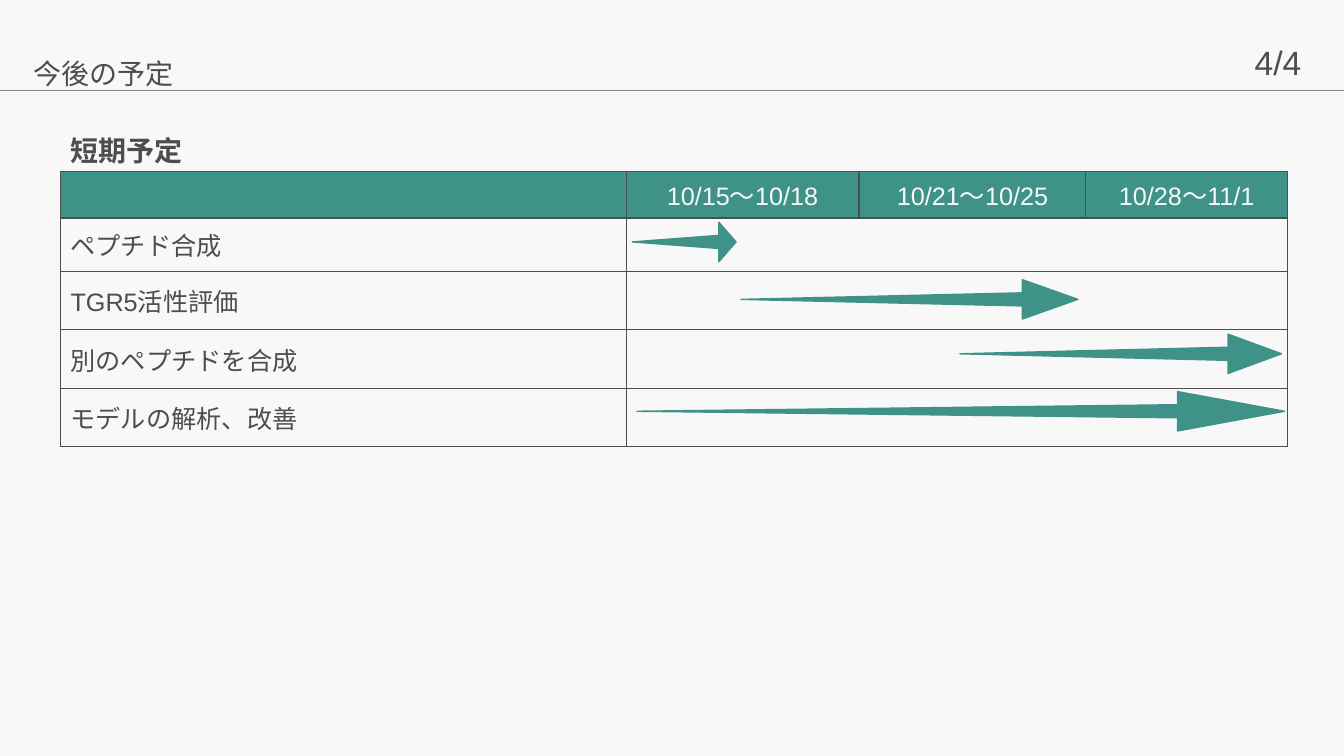
from lxml import etree
from pptx import Presentation
from pptx.dml.color import RGBColor
from pptx.enum import shapes, text
from pptx.oxml import ns
from pptx.util import Inches, Pt

INK, TEAL, PAPER, RULE = "4D4D4D", "3E9288", "F8F8F8", "858585"


def paint(target, color):
    """Give a fill a solid colour."""
    target.solid()
    target.fore_color.rgb = RGBColor.from_string(color)


def inches(*lengths):
    return [Inches(length) for length in lengths]


class ScheduleSlide:
    font = "Arial"

    def __init__(self, deck):
        self.slide = deck.slides.add_slide(deck.slide_layouts[5])
        paint(self.slide.background.fill, PAPER)

    def set_words(self, frame, words, size, color=INK, bold=False, **paragraph_format):
        frame.text = words
        paragraph = frame.paragraphs[0]
        for name, value in paragraph_format.items():
            setattr(paragraph, name, value)
        font = paragraph.runs[0].font if words else paragraph.font
        for name, value in {"name": self.font, "size": Pt(size), "bold": bold}.items():
            setattr(font, name, value)
        paint(font.fill, color)

    def label(self, holder, words, size, wrap=True, **style):
        frame = holder.text_frame
        layout = {
            "word_wrap": wrap,
            "auto_size": text.MSO_AUTO_SIZE.NONE,
            "vertical_anchor": text.MSO_ANCHOR.TOP,
        }
        for name, value in layout.items():
            setattr(frame, name, value)
        self.set_words(frame, words, size, **style)

    def title(self, words, box):
        holder = self.slide.shapes.title
        for name, value in zip(("left", "top", "width", "height"), inches(*box)):
            setattr(holder, name, value)
        self.label(holder, words, 20, line_spacing=1.4, alignment=text.PP_ALIGN.LEFT)

    def textbox(self, words, box, size, **style):
        self.label(self.slide.shapes.add_textbox(*inches(*box)), words, size, **style)

    def rule(self, y, width):
        line = self.slide.shapes.add_connector(
            shapes.MSO_CONNECTOR.STRAIGHT, *inches(0, y, width, y))
        paint(line.line.fill, RULE)
        line.line.width = Pt(1)
        etree.SubElement(line._element.spPr, ns.qn("a:effectLst"))

    def borders(self, cell, sides):
        """Draw the named sides of a cell and clear the others."""
        properties = cell._tc.get_or_add_tcPr()
        for index, side in enumerate("LRTB"):
            edge = etree.Element(ns.qn(f"a:ln{side}"), w=str(Pt(1)))
            if side in sides:
                solid = etree.SubElement(edge, ns.qn("a:solidFill"))
                etree.SubElement(solid, ns.qn("a:srgbClr"), val=INK)
            else:
                etree.SubElement(edge, ns.qn("a:noFill"))
            properties.insert(index, edge)

    def timetable(self, periods, tasks, left, top, widths, heights):
        rows = [["", *periods]] + [[task] + [""] * len(periods) for task in tasks]
        table = self.slide.shapes.add_table(
            len(rows), len(widths), *inches(left, top, sum(widths), sum(heights))).table
        table.first_row = table.horz_banding = False
        for column, width in zip(table.columns, widths):
            column.width = Inches(width)
        for r, (row, height) in enumerate(zip(rows, heights)):
            table.rows[r].height = Inches(height)
            for c, words in enumerate(row):
                cell = table.cell(r, c)
                header = r == 0
                self.set_words(
                    cell.text_frame, words, 18, PAPER if header else INK,
                    alignment=text.PP_ALIGN.CENTER if header else text.PP_ALIGN.LEFT)
                cell.vertical_anchor = text.MSO_ANCHOR.MIDDLE
                paint(cell.fill, TEAL if header else PAPER)
                sides = "TB"
                if header or c <= 1:
                    sides += "L"
                if header or c in (0, len(periods)):
                    sides += "R"
                self.borders(cell, sides)

    def triangle(self, group, start, end, middle, thickness, rotation):
        """Lay a triangle on its side between two x positions."""
        length = end - start
        part = group.shapes.add_shape(
            shapes.MSO_SHAPE.ISOSCELES_TRIANGLE,
            *inches((start + end - thickness) / 2, middle - length / 2, thickness, length))
        part.rotation = rotation
        part.shadow.inherit = False
        paint(part.fill, TEAL)
        paint(part.line.fill, TEAL)
        part.line.width = Pt(1)

    def arrow(self, start, neck, tip, middle):
        group = self.slide.shapes.add_group_shape()
        self.triangle(group, neck, tip, middle, 0.39, 90)
        self.triangle(group, start, neck, middle, 0.13, 270)


def main():
    deck = Presentation()
    deck.slide_width, deck.slide_height = inches(13.33, 7.5)
    plan = ScheduleSlide(deck)
    plan.textbox("4/4", (12.23, 0.37, 0.89, 0.5), 24, wrap=False,
                 alignment=text.PP_ALIGN.CENTER)
    plan.rule(0.9, 13.33)
    plan.textbox("短期予定", (0.6, 1.14, 12.14, 0.51), 20, bold=True, line_spacing=1.4)
    plan.title("今後の予定", (0.23, 0.38, 12.53, 0.51))
    plan.timetable(
        ["10/15〜10/18", "10/21〜10/25", "10/28〜11/1"],
        ["ペプチド合成", "TGR5活性評価", "別のペプチドを合成", "モデルの解析、改善"],
        0.6, 1.7, [5.61, 2.31, 2.25, 2], [0.44, 0.53, 0.58, 0.58, 0.58])
    for start, neck, tip, middle in [
        (6.27, 7.13, 7.3, 2.4),
        (7.35, 10.14, 10.69, 2.97),
        (9.52, 12.18, 12.71, 3.51),
        (6.32, 11.68, 12.74, 4.08),
    ]:
        plan.arrow(start, neck, tip, middle)
    deck.save("out.pptx")


if __name__ == "__main__":
    main()
